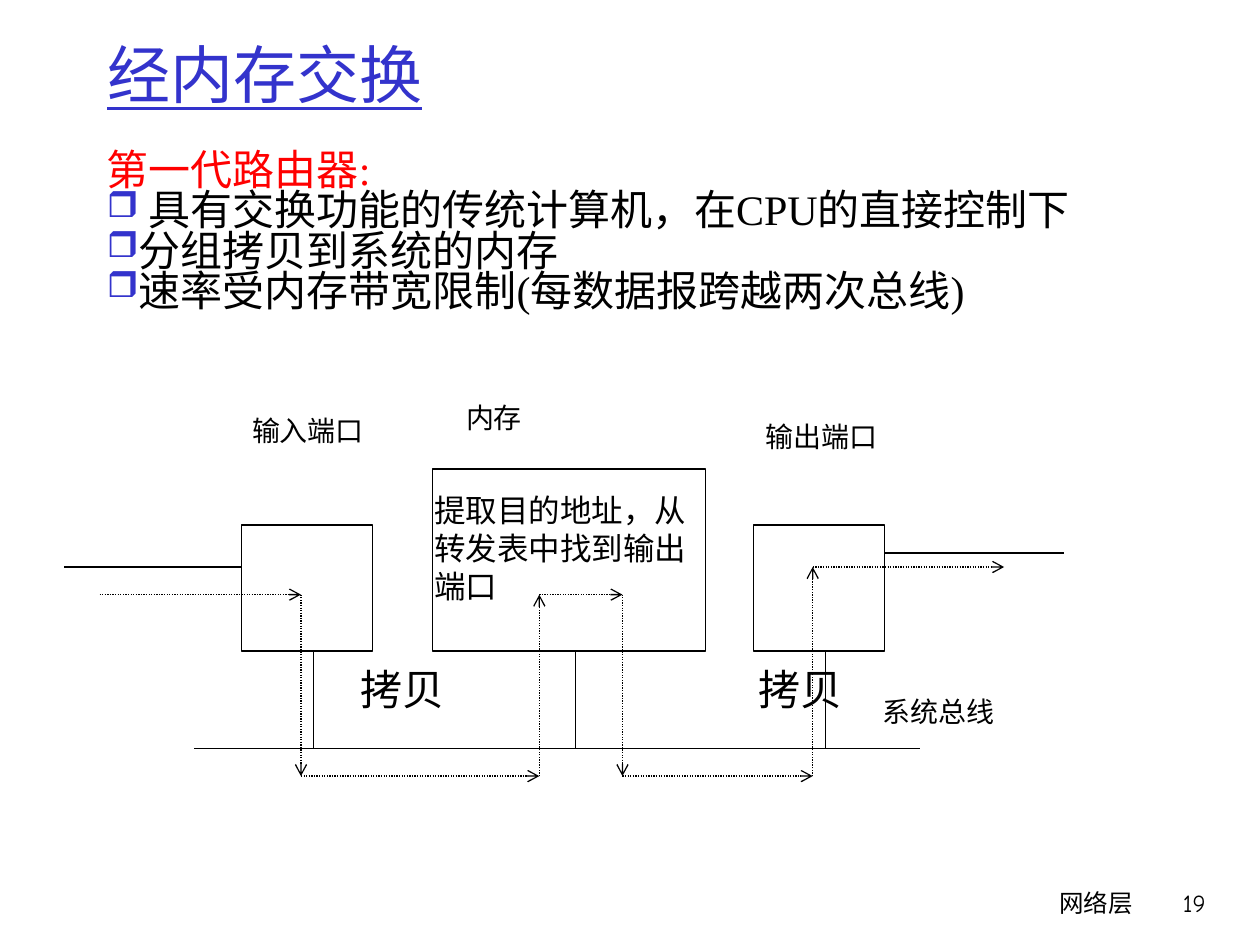
from itertools import pairwise
from lxml import etree
from pptx import Presentation
from pptx.dml.color import RGBColor
from pptx.enum import dml, shapes, text
from pptx.oxml.ns import qn
from pptx.util import Pt

BLACK = RGBColor(0, 0, 0)
BLUE = RGBColor(0x33, 0x33, 0xCC)
RED = RGBColor(0xFF, 0, 0)
SERIF = "Times New Roman"
COMIC = "Comic Neue"
LEFT, RIGHT = text.PP_ALIGN.LEFT, text.PP_ALIGN.RIGHT


def place(item, box):
    item.left, item.top, item.width, item.height = map(Pt, box)


def style(para, size, face, color=BLACK, align=LEFT):
    para.alignment = align
    para.font.size = Pt(size)
    para.font.name = face
    para.font.color.rgb = color


def label(slide, box, words, size, face, align=LEFT, wrap=True):
    frame = slide.shapes.add_textbox(*map(Pt, box)).text_frame
    frame.word_wrap = wrap
    frame.text = words
    style(frame.paragraphs[0], size, face, align=align)


def bullet(para):
    props = para._p.get_or_add_pPr()
    color = etree.SubElement(props, qn("a:buClr"))
    etree.SubElement(color, qn("a:srgbClr"), val=str(BLUE))
    etree.SubElement(props, qn("a:buSzPct"), val="85000")
    etree.SubElement(props, qn("a:buChar"), char="❒")


def line(slide, start, end, arrow=False):
    link = slide.shapes.add_connector(
        shapes.MSO_CONNECTOR.STRAIGHT, *map(Pt, (*start, *end)))
    link.line.color.rgb = BLACK
    link.line.width = Pt(0.75)
    if arrow:
        link.line.dash_style = dml.MSO_LINE.ROUND_DOT
        etree.SubElement(link.line._get_or_add_ln(), qn("a:tailEnd"), type="arrow")
    etree.SubElement(link._element.spPr, qn("a:effectLst"))


def heading(slide, box):
    title = slide.shapes.title
    place(title, box)
    frame = title.text_frame
    frame.text = "经内存交换"
    frame.vertical_anchor = text.MSO_ANCHOR.MIDDLE
    para = frame.paragraphs[0]
    style(para, 36, SERIF, BLUE)
    para.font.underline = True


def points(slide, box):
    frame = slide.shapes.add_textbox(*map(Pt, box)).text_frame
    frame.word_wrap = True
    frame.text = "\n".join((
        "第一代路由器:",
        " 具有交换功能的传统计算机，在CPU的直接控制下",
        "分组拷贝到系统的内存",
        "速率受内存带宽限制(每数据报跨越两次总线)"))
    for row, para in enumerate(frame.paragraphs):
        style(para, 24, SERIF, BLACK if row else RED)
        para.line_spacing = 0.8
        props = para._p.get_or_add_pPr()
        props.set("marL", str(Pt(9)))
        props.set("indent", str(-Pt(9)))
        if row:
            bullet(para)


def diagram(slide, box):
    left, top, width, height = box

    def at(x, y):
        return left + x, top + y

    base, bus = 148, 203.7
    for x, wide, high in ((102, 75, 72), (394.6, 75, 72), (211, 156, 104)):
        port = slide.shapes.add_shape(
            shapes.MSO_SHAPE.RECTANGLE,
            *map(Pt, (*at(x, base - high), wide, high)))
        port.shadow.inherit = False
        port.fill.background()
        port.line.color.rgb = BLACK
        port.line.width = Pt(0.75)

    line(slide, at(75, bus), at(489.6, bus))
    for x in (143.3, 293, 435.6):
        line(slide, at(x, base), at(x, bus))
    line(slide, at(102, 100), at(0.7, 100))
    line(slide, at(width, 92), at(469.6, 92))

    mid, low = 115.8, height
    route = ((20.9, mid), (136, mid), (136, low), (272.2, low), (272.2, mid),
             (319.7, mid), (319.7, low), (428.4, low), (428.4, 100), (537.8, 100))
    for start, end in pairwise(route):
        line(slide, at(*start), at(*end), arrow=True)

    for x, y, words in ((101, 9, "输入端口"), (394.6, 12.2, "输出端口"),
                        (223.2, 1.4, "内存"), (461.5, 169.1, "系统总线")):
        wide = 16 * len(words) + 14.4
        label(slide, (*at(x, y), wide, 26.6), words, 16, SERIF, wrap=False)
    for x in (162.7, 390.2):
        label(slide, (*at(x, 151.8), 80, 36), "拷贝", 24, COMIC)
    label(slide, (*at(205.2, 53.2), 160.6, 72.7),
          "提取目的地址，从转发表中找到输出端口", 18, COMIC)


def footer(slide, box):
    left, top, width, height = box
    label(slide, (left, top, 228, height), "网络层", 14, COMIC, RIGHT)
    label(slide, (left + width - 53, top, 53, height), "19", 14, COMIC, RIGHT)


def main():
    deck = Presentation()
    deck.slide_width, deck.slide_height = Pt(720), Pt(540)
    slide = deck.slides.add_slide(deck.slide_layouts[5])
    footer(slide, (426.5, 504, 269.5, 36))
    heading(slide, (54, 18, 612, 48))
    points(slide, (54, 84, 618, 149))
    diagram(slide, (36, 224, 572, 219.5))
    deck.save("out.pptx")


if __name__ == "__main__":
    main()
